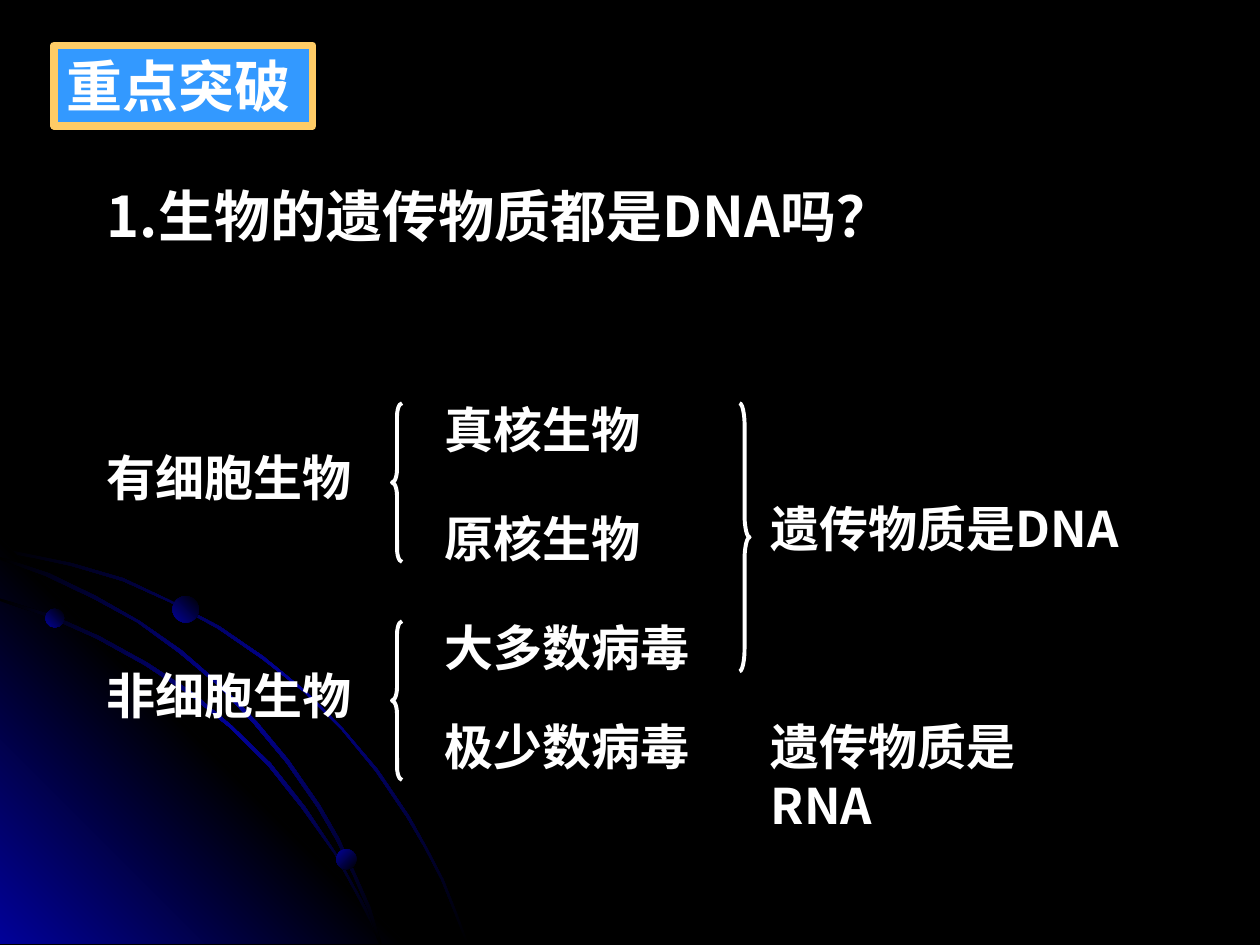
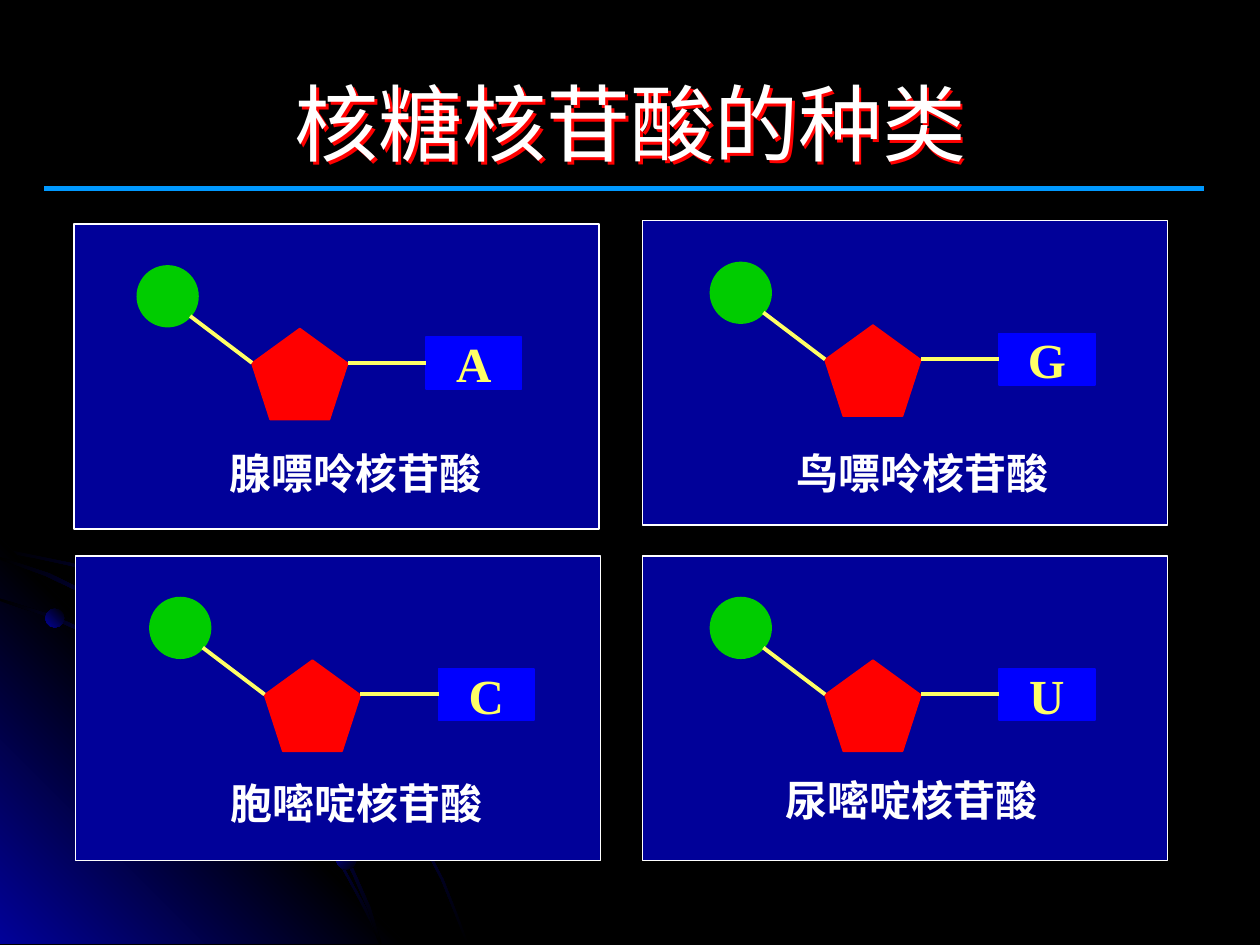
from lxml import etree
from pptx import Presentation
from pptx.dml.color import RGBColor
from pptx.enum import shapes as kinds, text as layout
from pptx.oxml.ns import qn
from pptx.util import Pt

BLACK = RGBColor(0x00, 0x00, 0x00)
WHITE = RGBColor(0xFF, 0xFF, 0xFF)
NAVY = RGBColor(0x01, 0x01, 0x99)
BLUE = RGBColor(0x00, 0x00, 0xFF)
SKY = RGBColor(0x33, 0x99, 0xFF)
RULE_BLUE = RGBColor(0x00, 0x99, 0xFF)
GOLD = RGBColor(0xFF, 0xCC, 0x66)
YELLOW = RGBColor(0xFF, 0xFF, 0x66)
RED = RGBColor(0xFF, 0x00, 0x00)
GREEN = RGBColor(0x00, 0xCC, 0x00)
SANS = "Noto Sans CJK SC"
SERIF = "Times New Roman"
SHAPE = kinds.MSO_SHAPE
STRAIGHT = kinds.MSO_CONNECTOR.STRAIGHT
GRID = Pt(0.72)

OUTER_ARC = [
    (57, 447), (28, 441), (0, 435), (0, 438), (28, 443), (56, 449), (97, 461),
    (135, 478), (173, 499), (208, 523), (241, 549), (271, 579), (298, 612),
    (323, 649), (337, 673), (350, 698), (360, 723), (370, 749), (372, 749),
    (362, 723), (352, 698), (339, 673), (325, 648), (300, 611), (272, 578),
    (242, 548), (209, 521), (174, 497), (136, 477), (98, 459)]
CORNER = [(322, 749), (0, 749), (0, 427)]
INNER_ARC = [
    (285, 714), (294, 732), (301, 749), (303, 749), (296, 730), (286, 712),
    (266, 676), (242, 640), (215, 606), (184, 576), (152, 549), (117, 526),
    (79, 505), (41, 488), (0, 475), (0, 477), (39, 490), (77, 507), (115, 528),
    (150, 551), (183, 578), (213, 608), (240, 642), (265, 677)]
MIDDLE_ARC = [
    (0, 442), (0, 444), (36, 457), (74, 475), (109, 494), (142, 518),
    (173, 544), (202, 575), (227, 605), (252, 641), (267, 667), (280, 694),
    (292, 722), (301, 749), (303, 749), (294, 720), (282, 693), (269, 665),
    (254, 639), (229, 603), (204, 573), (175, 543), (144, 516), (111, 493),
    (76, 473), (39, 455)]
GLOW = (BLACK, NAVY, BLACK)
CURVES = [
    (OUTER_ARC, GLOW, 135), (CORNER, (NAVY, BLACK, NAVY), 225),
    (INNER_ARC, GLOW, 135), (MIDDLE_ARC, GLOW, 135)]
DOTS = [(25.9, 347.8, 10.8, 225), (192.2, 485.3, 11.5, 135), (98.6, 340.6, 15.1, 225)]


def draw(shapes, kind, left, top, width, height, fill=None, line=None, weight=1):
    shape = shapes.add_shape(kind, Pt(left), Pt(top), Pt(width), Pt(height))
    shape.shadow.inherit = False
    if fill is None:
        shape.fill.background()
    else:
        shape.fill.solid()
        shape.fill.fore_color.rgb = fill
    if line is None:
        shape.line.fill.background()
    else:
        shape.line.color.rgb = line
        shape.line.width = Pt(weight)
    return shape


def write_text(shape, content, size=28, color=WHITE, bold=True, latin=SANS,
               align=layout.PP_ALIGN.LEFT, anchor=layout.MSO_ANCHOR.TOP, wrap=True):
    frame = shape.text_frame
    frame.word_wrap = wrap
    frame.vertical_anchor = anchor
    paragraph = frame.paragraphs[0]
    paragraph.alignment = align
    run = paragraph.add_run()
    run.text = content
    run.font.size = Pt(size)
    run.font.bold = bold
    run.font.color.rgb = color
    run.font.name = latin
    etree.SubElement(run.font._element, qn("a:ea"), typeface=SANS)


presentation = Presentation()
presentation.slide_width = Pt(720)
presentation.slide_height = Pt(540)
review_slide = presentation.slides.add_slide(presentation.slide_layouts[6])
types_slide = presentation.slides.add_slide(presentation.slide_layouts[6])

for slide, dots in ((review_slide, DOTS), (types_slide, DOTS[:2])):
    slide.background.fill.solid()
    slide.background.fill.fore_color.rgb = BLACK
    decorations = []
    for points, colors, angle in CURVES:
        builder = slide.shapes.build_freeform(*points[0], scale=GRID)
        builder.add_line_segments(points[1:], close=True)
        curve = builder.convert_to_shape()
        curve.shadow.inherit = False
        curve.line.fill.background()
        decorations.append((curve, colors, angle))
    for left, top, size, angle in dots:
        dot = draw(slide.shapes, SHAPE.OVAL, left, top, size, size)
        decorations.append((dot, (BLACK, NAVY), angle))
    for shape, colors, angle in decorations:
        shape.fill.gradient()
        shape.fill.gradient_angle = angle
        stops = shape.element.spPr.find(".//" + qn("a:gsLst"))
        stops.clear()
        for index, color in enumerate(colors):
            position = 100000 * index // (len(colors) - 1)
            stop = etree.SubElement(stops, qn("a:gs"), pos=str(position))
            etree.SubElement(stop, qn("a:srgbClr"), val=str(color))

badge = draw(review_slide.shapes, SHAPE.RECTANGLE, 31, 26, 147.6, 46, SKY, GOLD, 4.5)
write_text(badge, "重点突破", size=32, latin="Comic Neue")

outline = [
    ("1.生物的遗传物质都是DNA吗？", 54, 100, 465, 46, 32),
    ("有细胞生物", 54, 252, 170, 41, 28),
    ("非细胞生物", 54, 376.6, 164, 41, 28),
    ("真核生物", 247, 224.6, 136, 41, 28),
    ("原核生物", 247, 287.3, 136, 41, 28),
    ("大多数病毒", 247, 349.2, 158.4, 41, 28),
    ("极少数病毒", 247, 406, 158.4, 41, 28),
    ("遗传物质是DNA", 433.4, 281.5, 215, 75, 28),
    ("遗传物质是RNA", 433.4, 406, 204.5, 75, 28)]
for content, left, top, width, height, size in outline:
    box = review_slide.shapes.add_textbox(Pt(left), Pt(top), Pt(width), Pt(height))
    write_text(box, content, size=size)

brace_width = 5.76
for kind, left, top, height in (
        (SHAPE.LEFT_BRACE, 224, 230.4, 90.7),
        (SHAPE.LEFT_BRACE, 224, 355, 90.7),
        (SHAPE.RIGHT_BRACE, 422.6, 230.4, 153.2)):
    brace = draw(review_slide.shapes, kind, left, top, brace_width, height, None, WHITE, 2.25)
    brace.adjustments[0] = height / 12 / brace_width

nucleotides = [
    ("A", "腺嘌呤核苷酸", 42.5, 128, 78.5, 124, 252),
    ("G", "鸟嘌呤核苷酸", 367.2, 126, 406, 448, 252),
    ("C", "胞嘧啶核苷酸", 43.2, 317.5, 85.7, 124.5, 440.6),
    ("U", "尿嘧啶核苷酸", 367.2, 317.5, 406, 441.6, 439.2)]
for letter, name, panel_left, panel_top, left, caption_left, caption_top in nucleotides:
    group = types_slide.shapes.add_group_shape().shapes
    draw(group, SHAPE.RECTANGLE, panel_left, panel_top, 300, 174.2, NAVY, WHITE)
    sugar_left, base_left = left + 65.5, left + 164.9
    base_top = panel_top + 64.6
    bond_y = base_top + 14.75
    draw(group, SHAPE.REGULAR_PENTAGON, sugar_left, panel_top + 59.8, 54.7, 52, RED, RED)
    base = draw(group, SHAPE.RECTANGLE, base_left, base_top, 54.7, 29.5, BLUE, BLUE)
    base.text_frame.margin_top = base.text_frame.margin_bottom = 0
    write_text(base, letter, color=YELLOW, latin=SERIF, align=layout.PP_ALIGN.CENTER,
               anchor=layout.MSO_ANCHOR.MIDDLE)
    draw(group, SHAPE.OVAL, left, panel_top + 24, 34.6, 34.6, GREEN, GREEN)
    for start_x, start_y, end_x in (
            (sugar_left + 54.7, bond_y, base_left),
            (left + 30.2, panel_top + 52.6, sugar_left)):
        bond = group.add_connector(STRAIGHT, Pt(start_x), Pt(start_y), Pt(end_x), Pt(bond_y))
        bond.line.color.rgb = YELLOW
        bond.line.width = Pt(2.25)
        etree.SubElement(bond.element.spPr, qn("a:effectLst"))
        if end_x == base_left:
            bond.end_connect(base, 1)
    caption = types_slide.shapes.add_textbox(Pt(caption_left), Pt(caption_top), Pt(180), Pt(36))
    write_text(caption, name, size=24, latin=SERIF)

title = types_slide.shapes.add_textbox(Pt(161.3), Pt(37.4), Pt(398.2), Pt(65))
write_text(title, "核糖核苷酸的种类", size=48, bold=False, latin=SERIF, wrap=False)
effects = etree.SubElement(title.element.spPr, qn("a:effectLst"))
shadow = etree.SubElement(effects, qn("a:outerShdw"), dist=str(Pt(2)), dir="2700000")
etree.SubElement(shadow, qn("a:srgbClr"), val=str(RED))

rule = types_slide.shapes.add_connector(STRAIGHT, Pt(25.4), Pt(107.7), Pt(688), Pt(107.7))
rule.line.color.rgb = RULE_BLUE
rule.line.width = Pt(3)
etree.SubElement(rule.element.spPr, qn("a:effectLst"))

presentation.save("out.pptx")
